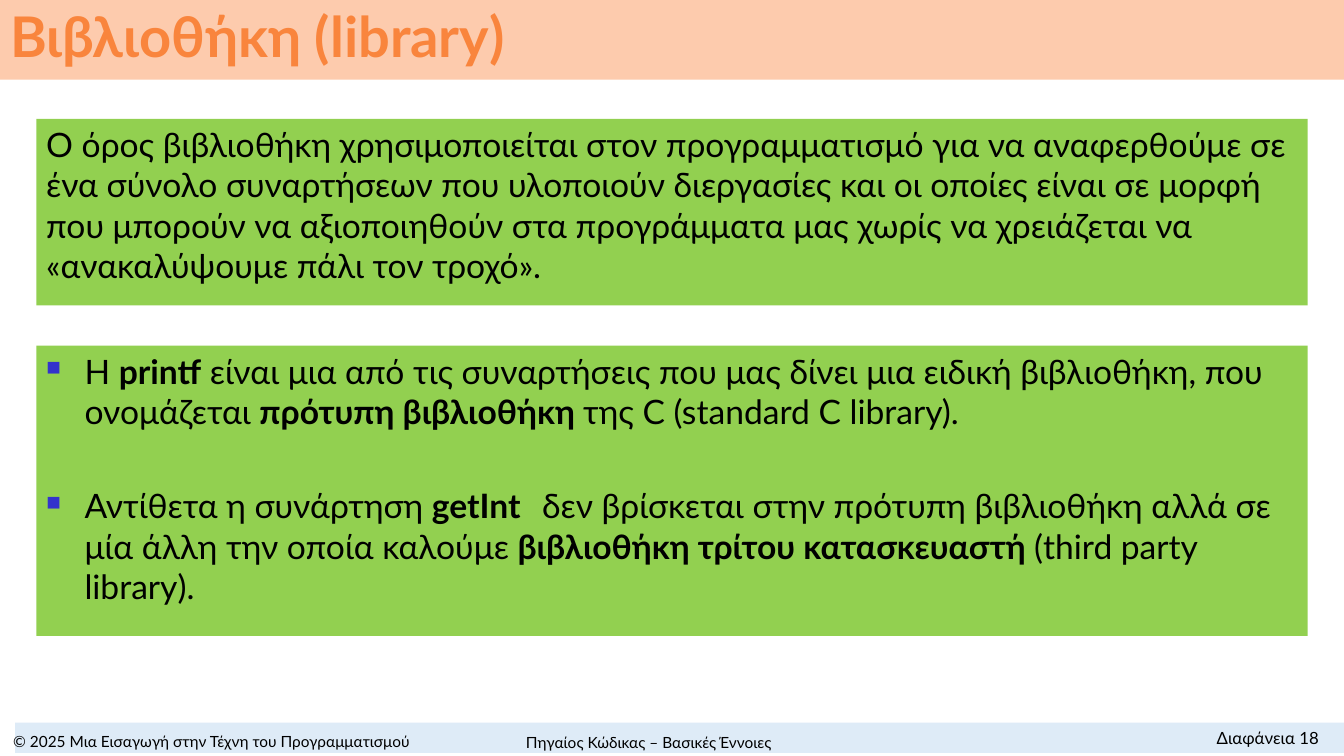
from lxml.etree import SubElement
from pptx import Presentation
from pptx.dml.color import RGBColor
from pptx.enum.shapes import MSO_SHAPE
from pptx.enum.text import MSO_ANCHOR, PP_ALIGN
from pptx.oxml.ns import qn
from pptx.util import Inches, Pt

W, H = 13.33, 7.5
MARGIN = 0.36
FONT = "Lato"
BLACK, GREEN, PEACH, ORANGE = "000000", "92D050", "FDCBAD", "F9853D"
FOOTER_BLUE, BULLET_BLUE = "DEEBF7", "3333CC"
BODY_SIZE, INDENT = 24, 0.38
PARAGRAPH_GAP = 38.5
WIDE_GAP = 9.3

DEFINITION = (
    "Ο όρος βιβλιοθήκη χρησιμοποιείται στον προγραμματισμό για να αναφερθούμε σε "
    "ένα σύνολο συναρτήσεων που υλοποιούν διεργασίες και οι οποίες είναι σε μορφή "
    "που μπορούν να αξιοποιηθούν στα προγράμματα μας χωρίς να χρειάζεται να "
    "«ανακαλύψουμε πάλι τον τροχό»."
)
# Each run: text, bold, extra letter spacing in points
EXAMPLES = [
    [("Η ", False, 0), ("printf", True, 0),
     (" είναι μια από τις συναρτήσεις που μας δίνει μια ειδική βιβλιοθήκη, "
      "που ονομάζεται ", False, 0),
     ("πρότυπη βιβλιοθήκη ", True, 0),
     ("της C (standard C library).", False, 0)],
    [("Αντίθετα η συνάρτηση ", False, 0), ("getInt", True, 0),
     (" ", False, WIDE_GAP),
     ("δεν βρίσκεται στην πρότυπη βιβλιοθήκη αλλά σε μία άλλη την οποία "
      "καλούμε ", False, 0),
     ("βιβλιοθήκη τρίτου κατασκευαστή ", True, 0),
     ("(third party library).", False, 0)],
]


def rgb(color):
    return RGBColor.from_string(color)


def fill(sp, color):
    sp.fill.solid()
    sp.fill.fore_color.rgb = rgb(color)


def add_run(p, text, size, color=BLACK, bold=False, spacing=0):
    r = p.add_run()
    r.text = text
    r.font.name, r.font.size, r.font.bold = FONT, Pt(size), bold
    r.font.color.rgb = rgb(color)
    if spacing:
        r.font._element.set("spc", str(round(spacing * 100)))


def add_bullet(p):
    pPr = p._p.get_or_add_pPr()
    pPr.set("marL", str(Inches(INDENT)))
    pPr.set("indent", str(-Inches(INDENT)))
    color = SubElement(pPr, qn("a:buClr"))
    SubElement(color, qn("a:srgbClr"), val=BULLET_BLUE)
    SubElement(pPr, qn("a:buSzPct"), val="60000")
    SubElement(pPr, qn("a:buChar"), char="■")


def add_panel(s, box, color):
    sp = s.shapes.add_shape(MSO_SHAPE.RECTANGLE, *map(Inches, box))
    sp.shadow.inherit = False
    fill(sp, color)
    sp.line.fill.background()
    return sp


def add_title(s, box, text):
    title = s.shapes.title
    title.left, title.top, title.width, title.height = map(Inches, box)
    fill(title, PEACH)
    tf = title.text_frame
    tf.vertical_anchor = MSO_ANCHOR.MIDDLE
    p = tf.paragraphs[0]
    p.alignment, p.line_spacing = PP_ALIGN.LEFT, 0.9
    add_run(p, text, 40, ORANGE, True)


def add_body(s, box, paragraphs, bulleted=False):
    tf = add_panel(s, box, GREEN).text_frame
    tf.word_wrap = True
    tf.vertical_anchor = MSO_ANCHOR.TOP
    for i, runs in enumerate(paragraphs):
        p = tf.add_paragraph() if i else tf.paragraphs[0]
        p.alignment = PP_ALIGN.LEFT
        if i:
            p.space_before = Pt(PARAGRAPH_GAP)
        if bulleted:
            add_bullet(p)
        for text, bold, spacing in runs:
            add_run(p, text, BODY_SIZE, bold=bold, spacing=spacing)


def add_footer(s, box):
    left, top, width, height = box
    add_panel(s, box, FOOTER_BLUE)
    labels = [
        ("© 2025 Μια Εισαγωγή στην Τέχνη του Προγραμματισμού",
         0, 4.2, 0.05, 11, PP_ALIGN.CENTER),
        ("Πηγαίος Κώδικας – Βασικές Έννοιες",
         4.54, 3.79, 0.06, 11, PP_ALIGN.CENTER),
        ("Διαφάνεια 18", left + width - 2.21, 2.06, 0, 12, PP_ALIGN.RIGHT),
    ]
    for text, x, w, drop, size, align in labels:
        sp = s.shapes.add_textbox(Inches(x), Inches(top + drop), Inches(w), Inches(height - drop / 2))
        tf = sp.text_frame
        tf.word_wrap = True
        tf.vertical_anchor = MSO_ANCHOR.MIDDLE
        tf.paragraphs[0].alignment = align
        add_run(tf.paragraphs[0], text, size)


def main():
    prs = Presentation()
    prs.slide_width, prs.slide_height = Inches(W), Inches(H)
    s = prs.slides.add_slide(prs.slide_layouts[5])
    body_width = W - 2 * MARGIN
    add_footer(s, (0.15, 7.17, W - 0.15, 0.3))
    add_title(s, (0, 0, W, 0.79), "Βιβλιοθήκη (library)")
    add_body(s, (MARGIN, 1.18, body_width, 1.85), [[(DEFINITION, False, 0)]])
    add_body(s, (MARGIN, 3.43, body_width, 2.88), EXAMPLES, bulleted=True)
    prs.save("out.pptx")


if __name__ == "__main__":
    main()
